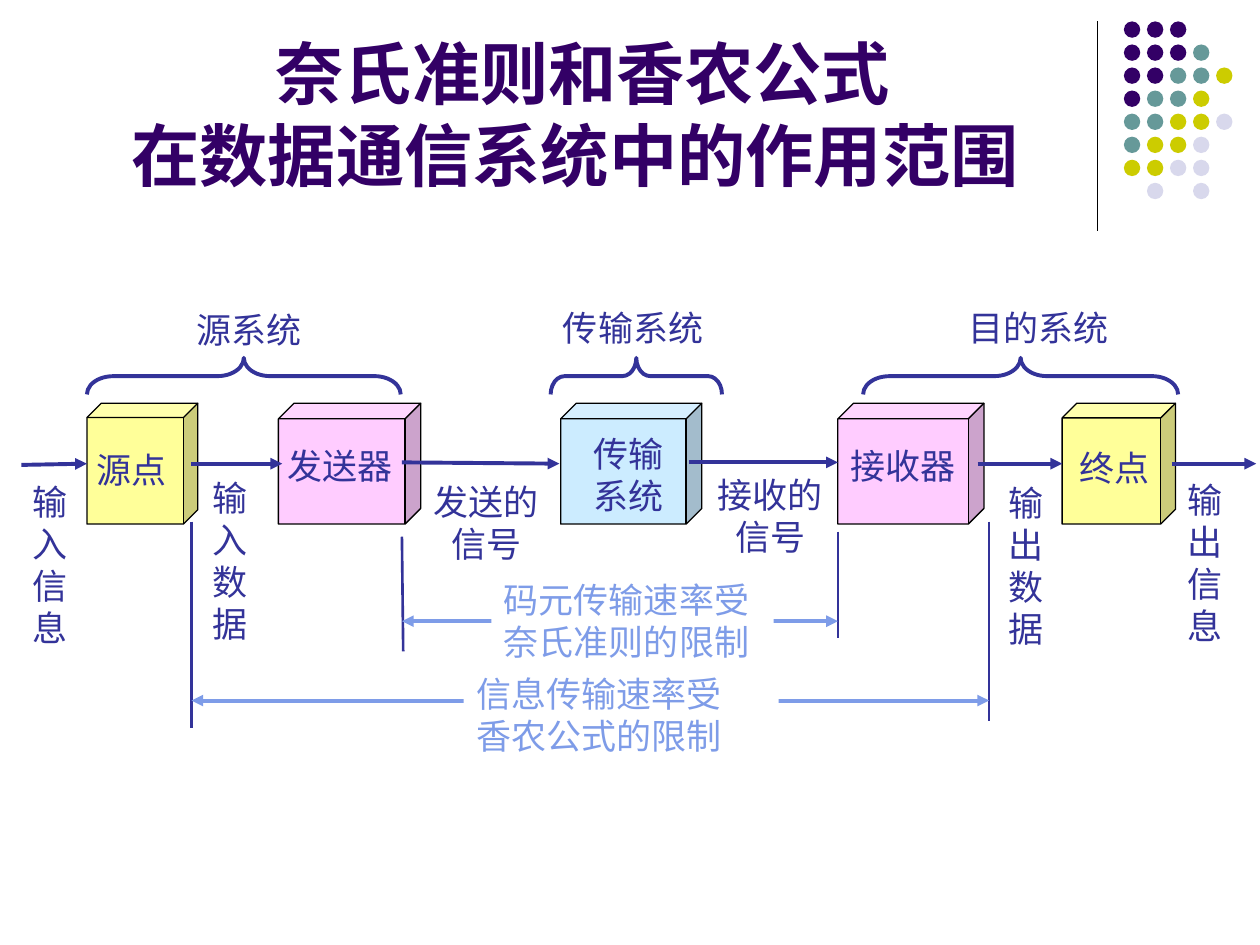
from typing import NamedTuple

import lxml.etree
import pptx
import pptx.dml.color
import pptx.enum.shapes
import pptx.enum.text
import pptx.oxml.ns
import pptx.util

CELL = 0.1  # inches; the slide is a grid of 100 columns by 75 rows
COLUMNS, ROWS = 100, 75
FONT = "Noto Sans CJK SC"
INK, LIMIT, PURPLE, BLACK, WHITE = "333399", "7E9CE8", "330066", "000000", "FFFFFF"
YELLOW, PINK, BLUE = "FFFF99", "FFCCFF", "CCECFF"
SHAPE = pptx.enum.shapes.MSO_SHAPE
ALIGN = pptx.enum.text.PP_ALIGN
ANCHOR = pptx.enum.text.MSO_ANCHOR


class Frame(NamedTuple):
    column: float
    row: float
    columns: float
    rows: float


class Label(NamedTuple):
    text: str
    frame: Frame
    align: ALIGN = ALIGN.LEFT


class Block(NamedTuple):
    column: float
    columns: float
    fill: str


class Brace(NamedTuple):
    column: float
    columns: float
    curl: float


class Line(NamedTuple):
    start: tuple[float, float]
    end: tuple[float, float]
    colour: str = INK
    weight: float = 2.25
    ends: tuple[str, ...] = ("tailEnd",)


class Limit(NamedTuple):
    left: Line
    right: Line
    row: float
    label: Label


DOT_COLOURS = {"P": PURPLE, "T": "669999", "Y": "CCCC00", "L": "D8D8EC"}
DOT_ROWS = ("PPP", "PPPT", "PPTTY", "PTTY", "TTYYL", "TYYL", "YYLL", ".L.L")
DOT_SIZE, DOT_PITCH = 1.3, 1.83

BRACES = (Brace(6.9, 24.9, 0.72), Brace(43.7, 13.6, 0.38), Brace(68.5, 25, 0.72))
BLOCKS = (
    Block(6.9, 8.8, YELLOW),
    Block(22.1, 11.3, PINK),
    Block(44.5, 11.2, BLUE),
    Block(66.5, 11.6, PINK),
    Block(84.3, 9, YELLOW),
)
LABELS = (
    Label("源系统", Frame(14.6, 23.8, 11.4, 4.3)),
    Label("传输系统", Frame(43.7, 23.6, 13.3, 4.3)),
    Label("目的系统", Frame(75.9, 23.6, 14.2, 4.3)),
    Label("源点", Frame(6.7, 34.9, 8.3, 4.3)),
    Label("发送器", Frame(21.8, 34.6, 10.8, 4.3)),
    Label("传输\n系统", Frame(46.1, 33.6, 8.6, 7.6)),
    Label("接收器", Frame(66.5, 34.6, 10.8, 4.3)),
    Label("终点", Frame(84.7, 34.7, 8.3, 4.3)),
    Label("输入信息", Frame(1.6, 37.4, 6.7, 14.3)),
    Label("输入数据", Frame(15.9, 37.1, 6.7, 14.3)),
    Label("输出数据", Frame(79.1, 37.5, 6.7, 14.3)),
    Label("输出信息", Frame(93.3, 37.3, 6.7, 14.3)),
    Label("发送的\n信号", Frame(32.7, 37.4, 11.8, 7.6), ALIGN.CENTER),
    Label("接收的\n信号", Frame(55.8, 36.9, 10.7, 7.6), ALIGN.CENTER),
)
FLOWS = (
    Line((1.7, 36.9), (6.9, 36.8)),
    Line((15.2, 36.8), (22.4, 36.8)),
    Line((31.9, 36.7), (44.4, 36.8)),
    Line((54.7, 36.7), (66.5, 36.7)),
    Line((77.6, 36.8), (84.3, 36.8)),
    Line((93, 36.8), (99.7, 36.8)),
)
LIMITS = (
    Limit(
        Line((31.9, 42.6), (32, 51.7), INK, 1.5, ()),
        Line((66.5, 42.2), (66.5, 50.6), INK, 1.5, ()),
        49.3,
        Label("码元传输速率受\n奈氏准则的限制", Frame(39, 45.2, 22.4, 7.6)),
    ),
    Limit(
        Line((15.2, 41.4), (15.2, 57.8), INK, 1.5, ()),
        Line((78.5, 41.4), (78.5, 57.2), INK, 1.5, ()),
        55.6,
        Label("信息传输速率受\n香农公式的限制", Frame(36.8, 52.7, 25, 7.6)),
    ),
)


def cells(count: float) -> int:
    return pptx.util.Inches(count * CELL)


def rgb(colour: str) -> pptx.dml.color.RGBColor:
    return pptx.dml.color.RGBColor.from_string(colour)


def add_child(parent, tag: str, **values: str) -> None:
    lxml.etree.SubElement(parent, pptx.oxml.ns.qn(tag), values)


def set_all(target, values: dict) -> None:
    for name, value in values.items():
        setattr(target, name, value)


def write(box, text: str, colour: str, size: float, pitch: float, align: ALIGN,
          bold: bool = False, **frame_values) -> None:
    """Fill the box with one paragraph per line; a vertical tab breaks a line."""
    inset = {"margin_left": cells(1), "margin_right": cells(1),
             "margin_top": cells(0.7), "margin_bottom": cells(0.3),
             "vertical_anchor": ANCHOR.TOP, "word_wrap": True}
    set_all(box.text_frame, inset | frame_values)
    box.text_frame.text = text
    for para in box.text_frame.paragraphs:
        set_all(para, {"alignment": align, "line_spacing": pptx.util.Pt(pitch),
                       "space_before": 0, "space_after": 0})
        for span in para.runs:
            set_all(span.font, {"name": FONT, "size": pptx.util.Pt(size), "bold": bold})
            span.font.color.rgb = rgb(colour)
            add_child(span.font._element, "a:ea", typeface=FONT)


def add_shape(page, kind: SHAPE, frame: Frame, fill: str = "", line: str = "",
              weight: float = 0.75):
    shape = page.shapes.add_shape(kind, *map(cells, frame))
    shape.shadow.inherit = False
    if fill:
        shape.fill.solid()
        shape.fill.fore_color.rgb = rgb(fill)
    else:
        shape.fill.background()
    if line:
        shape.line.color.rgb = rgb(line)
        shape.line.width = pptx.util.Pt(weight)
    else:
        shape.line.fill.background()
    return shape


def add_line(page, line: Line) -> None:
    connector = page.shapes.add_connector(
        pptx.enum.shapes.MSO_CONNECTOR.STRAIGHT, *map(cells, line.start + line.end))
    connector.line.color.rgb = rgb(line.colour)
    connector.line.width = pptx.util.Pt(line.weight)
    for end in line.ends:
        add_child(connector.line._get_or_add_ln(), f"a:{end}", type="triangle")
    add_child(connector._element.spPr, "a:effectLst")


def add_label(page, label: Label) -> None:
    box = page.shapes.add_textbox(*map(cells, label.frame))
    write(box, label.text, INK, 20, 24, label.align)


def add_brace(page, brace: Brace) -> None:
    """Turn a left brace so that it spans the given columns and points up."""
    depth, middle = 2.9, 29.85
    frame = Frame(brace.column + (brace.columns - depth) / 2,
                  middle - brace.columns / 2, depth, brace.columns)
    shape = add_shape(page, SHAPE.LEFT_BRACE, frame, line=INK, weight=2.25)
    shape.rotation = 90
    shape.adjustments[0] = brace.curl


def add_limit(page, limit: Limit) -> None:
    add_line(page, limit.left)
    add_line(page, limit.right)
    add_line(page, Line((limit.left.start[0], limit.row), (limit.right.start[0], limit.row),
                        LIMIT, ends=("headEnd", "tailEnd")))
    box = add_shape(page, SHAPE.RECTANGLE, limit.label.frame, WHITE)
    write(box, limit.label.text, LIMIT, 20, 24, limit.label.align)


def add_dots(page) -> None:
    for row, pattern in enumerate(DOT_ROWS):
        for column, key in enumerate(pattern):
            if key in DOT_COLOURS:
                frame = Frame(89.2 + column * DOT_PITCH, 1.7 + row * DOT_PITCH,
                              DOT_SIZE, DOT_SIZE)
                add_shape(page, SHAPE.OVAL, frame, DOT_COLOURS[key])


def main() -> None:
    deck = pptx.Presentation()
    set_all(deck, {"slide_width": cells(COLUMNS), "slide_height": cells(ROWS)})
    page = deck.slides.add_slide(deck.slide_layouts[5])
    add_line(page, Line((87.1, 1.7), (87.1, 18.3), BLACK, 0.75, ()))
    add_dots(page)

    title = page.shapes.title
    set_all(title, dict(zip(("left", "top", "width", "height"),
                            map(cells, Frame(5, 1.3, 82.5, 14.2)))))
    write(title, "奈氏准则和香农公式\v在数据通信系统中的作用范围 ", PURPLE, 39, 47,
          ALIGN.CENTER, True, vertical_anchor=ANCHOR.BOTTOM, margin_bottom=0)

    for brace in BRACES:
        add_brace(page, brace)
    for block in BLOCKS:
        cube = add_shape(page, SHAPE.CUBE, Frame(block.column, 32, block.columns, 9.6),
                         block.fill, BLACK)
        cube.adjustments[0] = 0.13
    for flow in FLOWS:
        add_line(page, flow)
    for label in LABELS:
        add_label(page, label)
    for limit in LIMITS:
        add_limit(page, limit)
    deck.save("out.pptx")


if __name__ == "__main__":
    main()
